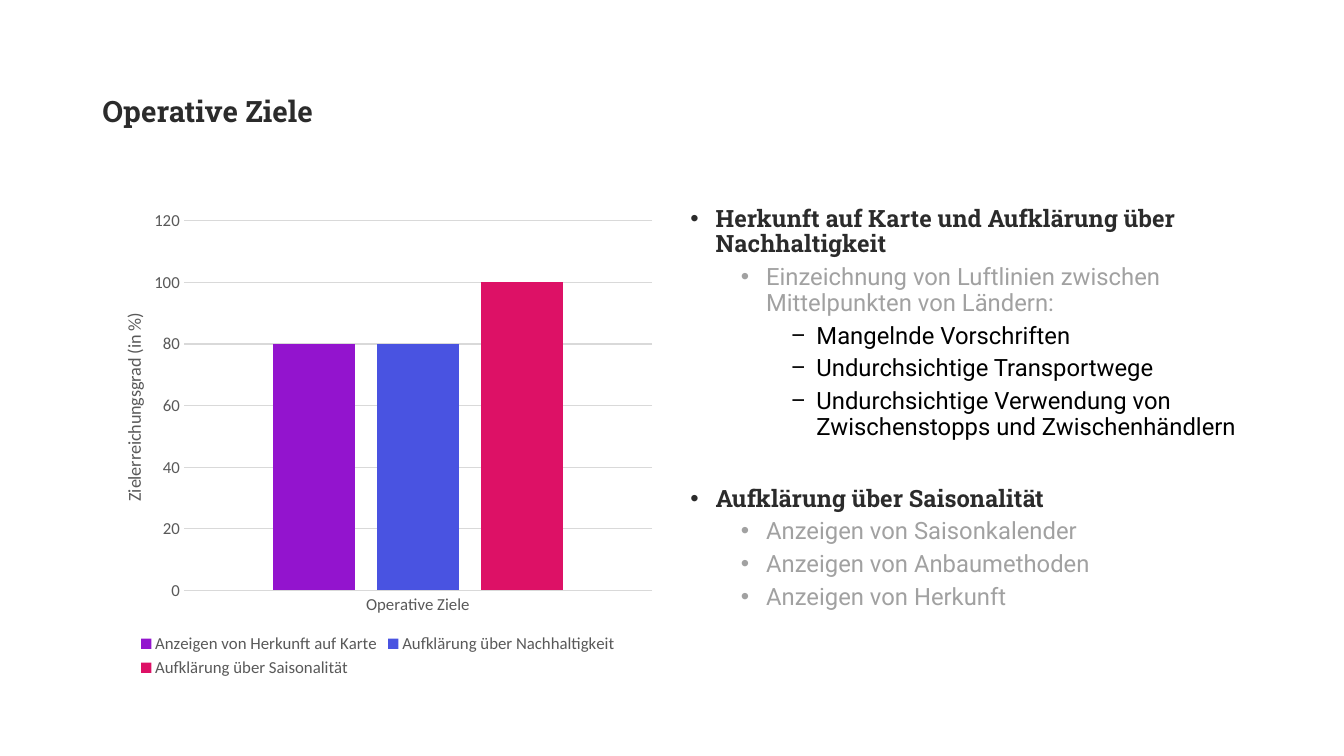
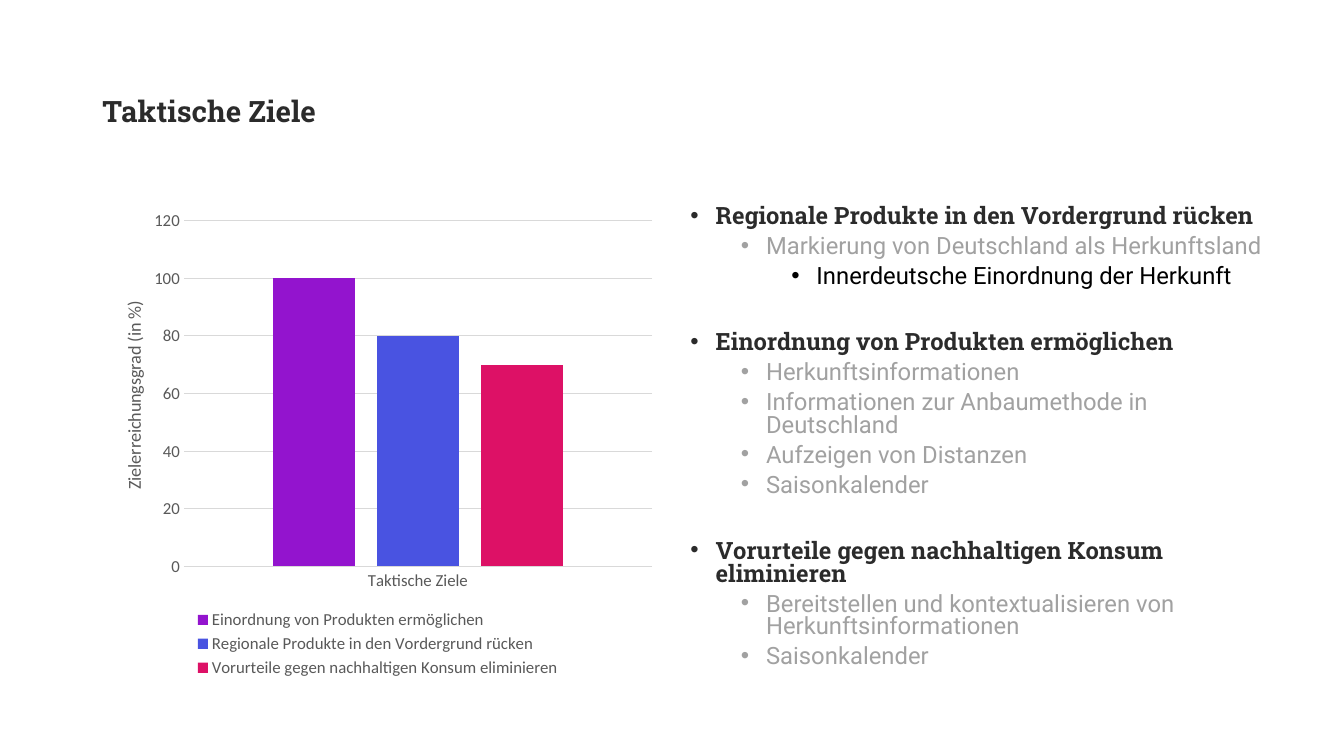
import dataclasses

import pptx
import pptx.chart.data
import pptx.dml.color
import pptx.enum.chart
import pptx.enum.text
import pptx.oxml
import pptx.oxml.ns
import pptx.util

Pt = pptx.util.Pt
RGBColor = pptx.dml.color.RGBColor
qn = pptx.oxml.ns.qn

INK = RGBColor(0x2B, 0x2B, 0x2B)
BLACK = RGBColor(0x00, 0x00, 0x00)
MUTED = RGBColor(0xA1, 0xA1, 0xA1)
CHART_TEXT = RGBColor(0x59, 0x59, 0x59)
GRID = RGBColor(0xD9, 0xD9, 0xD9)
SERIES_COLOURS = (
    RGBColor(0x93, 0x14, 0xCE),
    RGBColor(0x49, 0x53, 0xE1),
    RGBColor(0xDD, 0x11, 0x66),
)

HEADING_FONT = "Roboto Slab"
BODY_FONT = "Roboto"
CHART_FONT = "Calibri"
TITLE_SIZE = 21
LIST_SIZE = 17

# Font, colour, bold and space before of each list level
LEVELS = (
    (HEADING_FONT, INK, True, 10),
    (BODY_FONT, MUTED, False, 5),
    (BODY_FONT, BLACK, False, 5),
)

# Boxes are left, top, width, height in points
PAGE_SIZE = (960, 540)
TITLE_BOX = (66, 29, 828, 104)
CHART_BOX = (66, 144, 408, 343)
LIST_LEFT, LIST_TOP, LIST_HEIGHT = 486, 144, 343


@dataclasses.dataclass
class GoalPage:
    title: str
    results: list
    plot_height: float
    goals: list
    list_width: float
    line_spacing: float
    deep_bullet: str


PAGES = [
    GoalPage(
        title="Operative Ziele",
        results=[
            ("Anzeigen von Herkunft auf Karte", 80),
            ("Aufklärung über Nachhaltigkeit", 80),
            ("Aufklärung über Saisonalität", 100),
        ],
        plot_height=0.77,
        goals=[
            (0, "Herkunft auf Karte und Aufklärung über Nachhaltigkeit"),
            (1, "Einzeichnung von Luftlinien zwischen Mittelpunkten von Ländern:"),
            (2, "Mangelnde Vorschriften"),
            (2, "Undurchsichtige Transportwege"),
            (2, "Undurchsichtige Verwendung von Zwischenstopps und Zwischenhändlern"),
            (0, "Aufklärung über Saisonalität"),
            (1, "Anzeigen von Saisonkalender"),
            (1, "Anzeigen von Anbaumethoden"),
            (1, "Anzeigen von Herkunft"),
        ],
        list_width=408,
        line_spacing=0.9,
        deep_bullet="−",
    ),
    GoalPage(
        title="Taktische Ziele",
        results=[
            ("Einordnung von Produkten ermöglichen", 100),
            ("Regionale Produkte in den Vordergrund rücken", 80),
            ("Vorurteile gegen nachhaltigen Konsum eliminieren", 70),
        ],
        plot_height=0.72,
        goals=[
            (0, "Regionale Produkte in den Vordergrund rücken"),
            (1, "Markierung von Deutschland als Herkunftsland"),
            (2, "Innerdeutsche Einordnung der Herkunft"),
            (0, "Einordnung von Produkten ermöglichen"),
            (1, "Herkunftsinformationen"),
            (1, "Informationen zur Anbaumethode in Deutschland"),
            (1, "Aufzeigen von Distanzen"),
            (1, "Saisonkalender"),
            (0, "Vorurteile gegen nachhaltigen Konsum eliminieren"),
            (1, "Bereitstellen und kontextualisieren von Herkunftsinformationen"),
            (1, "Saisonkalender"),
        ],
        list_width=436,
        line_spacing=0.8,
        deep_bullet="•",
    ),
]


def place(shape, box):
    shape.left, shape.top, shape.width, shape.height = map(Pt, box)


def style_font(font, name, size, colour, bold=False):
    font.name = name
    font.size = Pt(size)
    font.bold = bold
    font.color.rgb = colour


def style_chart_font(font, size=12):
    style_font(font, CHART_FONT, size, CHART_TEXT)


def add_bullet(paragraph, character, indent):
    properties = paragraph._p.get_or_add_pPr()
    properties.set("marL", str(Pt(indent)))
    properties.set("indent", str(Pt(-18)))
    for tag, name, value in (("a:buFont", "typeface", "Arial"),
                             ("a:buChar", "char", character)):
        bullet = pptx.oxml.parse_xml(f"<{tag} {pptx.oxml.ns.nsdecls('a')}/>")
        bullet.set(name, value)
        properties.append(bullet)


def set_layout(element, index, **fractions):
    """Fix the place of a chart part, in fractions of the chart."""
    for old in element.findall(qn("c:layout")):
        element.remove(old)
    target = '<c:layoutTarget val="inner"/>' if "w" in fractions else ""
    modes = "".join(f'<c:{key}Mode val="edge"/>' for key in "xy")
    values = "".join(f'<c:{key} val="{value:.3f}"/>'
                     for key, value in fractions.items())
    element.insert(index, pptx.oxml.parse_xml(
        f"<c:layout {pptx.oxml.ns.nsdecls('c')}><c:manualLayout>"
        f"{target}{modes}{values}</c:manualLayout></c:layout>"))


def fill_title(placeholder, box, text):
    place(placeholder, box)
    frame = placeholder.text_frame
    frame.text = text
    frame.auto_size = pptx.enum.text.MSO_AUTO_SIZE.NONE
    frame.vertical_anchor = pptx.enum.text.MSO_ANCHOR.MIDDLE
    paragraph = frame.paragraphs[0]
    paragraph.alignment = pptx.enum.text.PP_ALIGN.LEFT
    paragraph.line_spacing = 0.9
    style_font(paragraph.font, HEADING_FONT, TITLE_SIZE, INK, True)


def fill_goal_list(placeholder, box, goals, line_spacing, deep_bullet):
    place(placeholder, box)
    frame = placeholder.text_frame
    frame.auto_size = pptx.enum.text.MSO_AUTO_SIZE.NONE
    frame.vertical_anchor = pptx.enum.text.MSO_ANCHOR.TOP
    group_gap = 15 + 20 * line_spacing
    for number, (level, text) in enumerate(goals):
        paragraph = frame.add_paragraph() if number else frame.paragraphs[0]
        paragraph.text = text
        paragraph.level = level
        font_name, colour, bold, gap = LEVELS[level]
        add_bullet(paragraph, deep_bullet if level == 2 else "•", 18 + 36 * level)
        paragraph.line_spacing = line_spacing
        if number == 0:
            gap = 0
        elif level == 0:
            gap = group_gap
        paragraph.space_before = Pt(gap)
        style_font(paragraph.font, font_name, LIST_SIZE, colour, bold)


def style_value_axis(axis, plot_top, plot_height):
    axis.minimum_scale, axis.maximum_scale, axis.major_unit = 0, 120, 20
    axis.format.line.fill.background()
    axis.major_gridlines.format.line.color.rgb = GRID
    axis.major_gridlines.format.line.width = Pt(0.75)
    frame = axis.axis_title.text_frame
    frame.text = "Zielerreichungsgrad (in %)"
    style_chart_font(frame.paragraphs[0].font, 13)
    body = frame._txBody.find(qn("a:bodyPr"))
    body.set("rot", "-5400000")
    body.set("vert", "horz")
    set_layout(axis.axis_title._element, 1,
               x=0.046, y=plot_top + plot_height / 2 - 0.2)


def add_result_chart(page, box, category, results, plot_height):
    data = pptx.chart.data.CategoryChartData()
    data.categories = [category]
    for name, value in results:
        data.add_series(name, [value])
    chart = page.shapes.add_chart(
        pptx.enum.chart.XL_CHART_TYPE.COLUMN_CLUSTERED, *map(Pt, box), data).chart
    style_chart_font(chart.font)
    chart.has_title = False
    chart.has_legend = True
    chart.legend.position = pptx.enum.chart.XL_LEGEND_POSITION.BOTTOM
    chart.legend.include_in_layout = False
    style_chart_font(chart.legend.font)

    plot = chart.plots[0]
    plot.gap_width, plot.overlap = 219, -27
    plot.vary_by_categories = False
    for series, colour in zip(plot.series, SERIES_COLOURS):
        series.format.fill.solid()
        series.format.fill.fore_color.rgb = colour

    for axis in (chart.category_axis, chart.value_axis):
        axis.major_tick_mark = pptx.enum.chart.XL_TICK_MARK.NONE
        axis.minor_tick_mark = pptx.enum.chart.XL_TICK_MARK.NONE
        style_chart_font(axis.tick_labels.font)
    chart.category_axis.format.line.color.rgb = GRID
    chart.category_axis.format.line.width = Pt(0.75)

    plot_top = 0.04
    style_value_axis(chart.value_axis, plot_top, plot_height)
    plot_area = chart._chartSpace.chart.plotArea
    set_layout(plot_area, 0, x=0.16, y=plot_top, w=0.82, h=plot_height)


def add_goal_page(deck, content):
    page = deck.slides.add_slide(deck.slide_layouts[1])
    fill_title(page.shapes.title, TITLE_BOX, content.title)
    add_result_chart(page, CHART_BOX, content.title, content.results,
                     content.plot_height)
    list_box = (LIST_LEFT, LIST_TOP, content.list_width, LIST_HEIGHT)
    fill_goal_list(page.placeholders[1], list_box, content.goals,
                   content.line_spacing, content.deep_bullet)


def main():
    deck = pptx.Presentation()
    deck.slide_width, deck.slide_height = map(Pt, PAGE_SIZE)
    for content in PAGES:
        add_goal_page(deck, content)
    deck.save("out.pptx")


if __name__ == "__main__":
    main()
